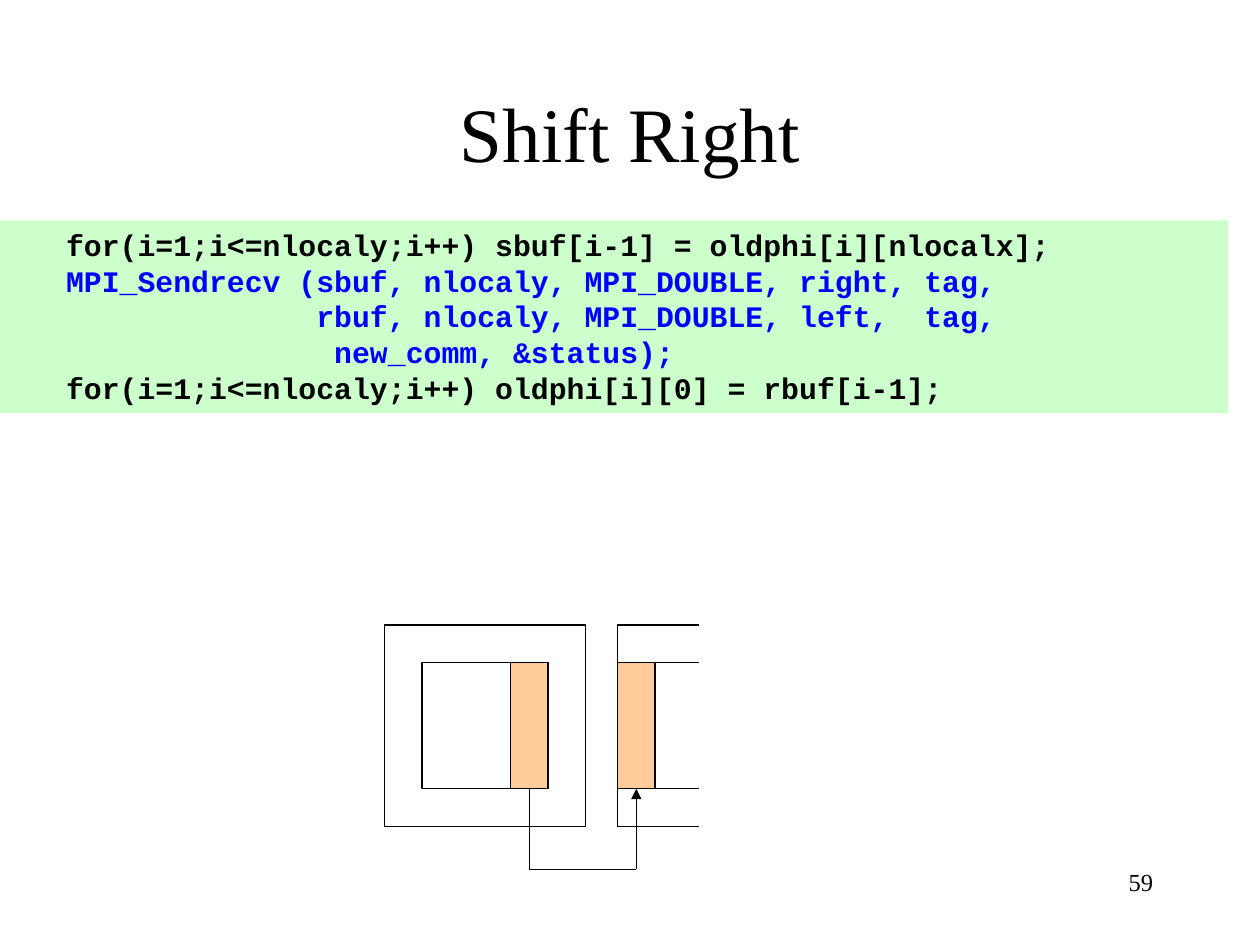
from typing import NamedTuple, Optional

from lxml.etree import SubElement
from pptx import Presentation
from pptx.dml.color import RGBColor
from pptx.enum.shapes import MSO_CONNECTOR, MSO_SHAPE
from pptx.enum.text import MSO_ANCHOR, PP_ALIGN
from pptx.oxml.ns import qn
from pptx.util import Inches, Pt

BLACK = RGBColor(0x00, 0x00, 0x00)
BLUE = RGBColor(0x00, 0x00, 0xFF)
GREEN = RGBColor(0xCC, 0xFF, 0xCC)
ORANGE = RGBColor(0xFF, 0xCC, 0x99)
SERIF = "Times New Roman"
MONO = "Courier New"
LINE_WIDTH = Pt(0.75)


class Box(NamedTuple):
    left: float
    top: float
    width: float
    height: float
    fill: Optional[RGBColor] = None


class Segment(NamedTuple):
    x1: float
    y1: float
    x2: float
    y2: float


CODE = [
    ("   for(i=1;i<=nlocaly;i++) sbuf[i-1] = oldphi[i][nlocalx];", BLACK),
    ("   MPI_Sendrecv (sbuf, nlocaly, MPI_DOUBLE, right, tag,", BLUE),
    ("                 rbuf, nlocaly, MPI_DOUBLE, left,  tag,", BLUE),
    ("                  new_comm, &status);", BLUE),
    ("   for(i=1;i<=nlocaly;i++) oldphi[i][0] = rbuf[i-1];", BLACK),
]

OUTER = Box(3.05, 4.96, 1.6, 1.6)
INNER = Box(3.35, 5.26, 1, 1)
SENT_COLUMN = Box(4.05, 5.26, 0.3, 1, ORANGE)
GHOST_COLUMN = Box(4.9, 5.26, 0.3, 1, ORANGE)
NEIGHBOUR_LEFT, NEIGHBOUR_RIGHT = 4.9, 5.55
NEIGHBOUR_ROWS = [4.96, 5.26, 6.26, 6.56]
ROUTE_Y = 6.9


def add_box(slide, box: Box, outlined: bool = True):
    s = slide.shapes.add_shape(
        MSO_SHAPE.RECTANGLE, *(Inches(v) for v in box[:4]))
    s.shadow.inherit = False
    if box.fill is None:
        s.fill.background()
    else:
        s.fill.solid()
        s.fill.fore_color.rgb = box.fill
    if outlined:
        s.line.color.rgb = BLACK
        s.line.width = LINE_WIDTH
    else:
        s.line.fill.background()
    return s


def add_line(slide, segment: Segment, arrow: bool = False):
    c = slide.shapes.add_connector(
        MSO_CONNECTOR.STRAIGHT, *(Inches(v) for v in segment))
    c.line.color.rgb = BLACK
    c.line.width = LINE_WIDTH
    if arrow:
        SubElement(c.line._get_or_add_ln(), qn("a:tailEnd"), type="triangle")
    SubElement(c._element.spPr, qn("a:effectLst"))
    return c


def write(s, text: str, *, size: float, font: str, colors: list,
          bold: bool = False, align=PP_ALIGN.LEFT, anchor=MSO_ANCHOR.TOP):
    tf = s.text_frame
    tf.word_wrap = True
    tf.vertical_anchor = anchor
    for i, (line, color) in enumerate(zip(text.split("\n"), colors)):
        p = tf.paragraphs[0] if i == 0 else tf.add_paragraph()
        p.alignment = align
        r = p.add_run()
        r.text = line
        r.font.name = font
        r.font.size = Pt(size)
        r.font.bold = bold
        r.font.color.rgb = color


def add_text(slide, box: Box, text: str, **fmt):
    s = slide.shapes.add_textbox(*(Inches(v) for v in box[:4]))
    write(s, text, colors=[BLACK], font=SERIF, **fmt)


def draw_exchange(slide):
    add_box(slide, OUTER)
    add_box(slide, INNER)
    sent = add_box(slide, SENT_COLUMN)
    add_line(slide, Segment(NEIGHBOUR_LEFT, NEIGHBOUR_ROWS[-1],
                            NEIGHBOUR_LEFT, NEIGHBOUR_ROWS[0]))
    ghost = add_box(slide, GHOST_COLUMN)
    for y in NEIGHBOUR_ROWS:
        add_line(slide, Segment(NEIGHBOUR_RIGHT, y, NEIGHBOUR_LEFT, y))

    sent_x, ghost_x = (b.left + b.width / 2 for b in (SENT_COLUMN, GHOST_COLUMN))
    bottom = SENT_COLUMN.top + SENT_COLUMN.height
    down = add_line(slide, Segment(sent_x, bottom, sent_x, ROUTE_Y))
    down.begin_connect(sent, 2)
    add_line(slide, Segment(sent_x, ROUTE_Y, ghost_x, ROUTE_Y))
    up = add_line(slide, Segment(ghost_x, ROUTE_Y, ghost_x, bottom), arrow=True)
    up.end_connect(ghost, 2)


def main():
    prs = Presentation()
    prs.slide_width, prs.slide_height = Inches(10), Inches(7.5)
    slide = prs.slides.add_slide(prs.slide_layouts[6])

    add_text(slide, Box(7.17, 6.83, 2.08, 0.5), "59",
             size=14, align=PP_ALIGN.RIGHT)
    add_text(slide, Box(0.75, 0.42, 8.5, 1.25), "Shift Right",
             size=44, align=PP_ALIGN.CENTER, anchor=MSO_ANCHOR.MIDDLE)
    panel = add_box(slide, Box(0, 1.75, 9.75, 1.53, GREEN), outlined=False)
    write(panel, "\n".join(line for line, _ in CODE), size=17, font=MONO,
          colors=[color for _, color in CODE], bold=True)
    draw_exchange(slide)
    prs.save("out.pptx")


if __name__ == "__main__":
    main()
